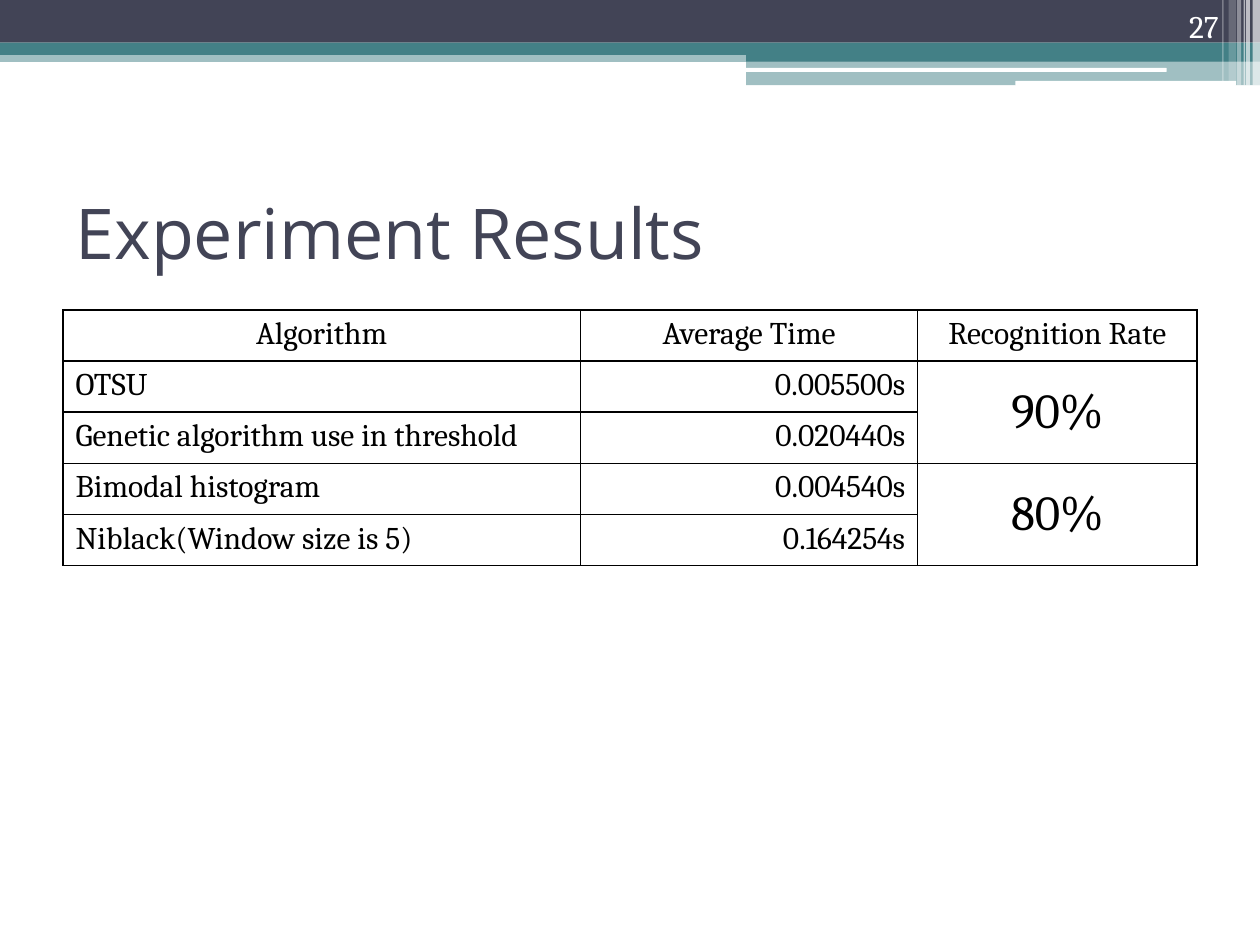
from lxml import etree
from pptx import Presentation
from pptx.dml.color import RGBColor
from pptx.enum.shapes import MSO_SHAPE
from pptx.enum.text import MSO_ANCHOR, PP_ALIGN
from pptx.oxml.ns import qn
from pptx.util import Cm, Pt

RECT, ROUNDED = MSO_SHAPE.RECTANGLE, MSO_SHAPE.ROUNDED_RECTANGLE
TOP, MIDDLE, BOTTOM = MSO_ANCHOR.TOP, MSO_ANCHOR.MIDDLE, MSO_ANCHOR.BOTTOM
LEFT, CENTER, RIGHT = PP_ALIGN.LEFT, PP_ALIGN.CENTER, PP_ALIGN.RIGHT

NAVY, TEAL, WHITE, BLACK = "424456", "438086", "FFFFFF", "000000"
BODY_FONT, TITLE_FONT = "Cambria", "Open Sans"

TITLE = "Experiment Results"
PAGE_NUMBER = "27"
HEADERS = ["Algorithm", "Average Time", "Recognition Rate"]
TIMES = [
    ("OTSU", "0.005500s"),
    ("Genetic algorithm use in threshold", "0.020440s"),
    ("Bimodal histogram", "0.004540s"),
    ("Niblack(Window size is 5)", "0.164254s"),
]
RATES = ["90%", "80%"]  # each rate covers two algorithms
COLUMN_WIDTHS = [10.43, 6.8, 5.63]
ROW_HEIGHT = 1.03

# shape, left, top, width, height, colour, opacity in percent
BANDS = [
    (RECT, 0, 1.02, 25.4, 0.23, TEAL, 50),
    (RECT, 0, 0, 25.4, 0.86, NAVY, 100),
    (RECT, 0, 0.86, 25.4, 0.25, TEAL, 100),
    (RECT, 15.04, 0.99, 10.36, 0.25, TEAL, 100),
    (RECT, 15.04, 1.22, 10.36, 0.5, TEAL, 50),
    (ROUNDED, 15.01, 1.37, 8.51, 0.08, WHITE, 100),
    (ROUNDED, 20.47, 1.63, 4.45, 0.1, WHITE, 100),
]
# left, width, height, opacity in percent
STRIPES = [
    (25.25, 0.15, 1.73, 65),
    (25.12, 0.08, 1.73, 65),
    (25.07, 0.03, 1.73, 60),
    (24.94, 0.08, 1.73, 40),
    (24.77, 0.15, 1.63, 20),
    (24.64, 0.03, 1.63, 30),
]


def color(value):
    """Turn a hex string into a colour."""
    return RGBColor.from_string(value)


def add_band(page, kind, left, top, width, height, fill, opacity):
    """Add one borderless bar, translucent if asked."""
    band = page.shapes.add_shape(kind, Cm(left), Cm(top), Cm(width), Cm(height))
    band.shadow.inherit = False
    band.line.fill.background()
    band.fill.solid()
    band.fill.fore_color.rgb = color(fill)
    if opacity < 100:
        tint = band.fill._xPr.find(qn("a:solidFill"))[0]
        etree.SubElement(tint, qn("a:alpha"), val=str(opacity * 1000))


def write(frame, text, size, font=BODY_FONT, ink=BLACK, align=LEFT):
    """Write one formatted line into a text frame."""
    para = frame.paragraphs[0]
    para.alignment = align
    span = para.add_run()
    span.text = text
    span.font.size = Pt(size)
    span.font.name = font
    span.font.color.rgb = color(ink)


def add_borders(cell):
    """Draw a thin black line on all four sides of a cell."""
    properties = cell._tc.get_or_add_tcPr()
    for position, side in enumerate(("a:lnL", "a:lnR", "a:lnT", "a:lnB")):
        line = etree.Element(qn(side), w=str(Pt(1)))
        fill = etree.SubElement(line, qn("a:solidFill"))
        etree.SubElement(fill, qn("a:srgbClr"), val=BLACK)
        properties.insert(position, line)


def fill_cell(cell, text, align, size=18, anchor=TOP):
    """Write a table cell."""
    cell.vertical_anchor = anchor
    write(cell.text_frame, text, size, align=align)


def add_results(page):
    """Add the table of times and recognition rates."""
    count = len(TIMES) + 1
    table = page.shapes.add_table(
        count, len(HEADERS), Cm(1.27), Cm(6.25),
        Cm(sum(COLUMN_WIDTHS)), Cm(ROW_HEIGHT * count)).table
    table.first_row = table.horz_banding = False
    for column, width in zip(table.columns, COLUMN_WIDTHS):
        column.width = Cm(width)
    for row in table.rows:
        row.height = Cm(ROW_HEIGHT)
    for cell in table.iter_cells():
        cell.fill.background()
        add_borders(cell)
    for column, header in enumerate(HEADERS):
        fill_cell(table.cell(0, column), header, CENTER)
    for row, (algorithm, time) in enumerate(TIMES, start=1):
        fill_cell(table.cell(row, 0), algorithm, LEFT)
        fill_cell(table.cell(row, 1), time, RIGHT)
    for index, rate in enumerate(RATES):
        first = 1 + 2 * index
        cell = table.cell(first, 2)
        cell.merge(table.cell(first + 1, 2))
        fill_cell(cell, rate, CENTER, 28, MIDDLE)


deck = Presentation()
deck.slide_width, deck.slide_height = Cm(25.4), Cm(19.05)
page = deck.slides.add_slide(deck.slide_layouts[5])

for band in BANDS:
    add_band(page, *band)
for left, width, height, opacity in STRIPES:
    add_band(page, RECT, left, 0, width, height, WHITE, opacity)

title = page.shapes.title
title.left, title.top, title.width, title.height = Cm(1.27), Cm(3.18), Cm(22.86), Cm(2.97)
title.text_frame.vertical_anchor = MIDDLE
write(title.text_frame, TITLE, 40, TITLE_FONT, NAVY)

number = page.shapes.add_textbox(Cm(22.71), Cm(0), Cm(2.11), Cm(1.02)).text_frame
number.word_wrap = True
number.vertical_anchor = BOTTOM
write(number, PAGE_NUMBER, 18, ink=WHITE, align=RIGHT)

add_results(page)
deck.save("out.pptx")
